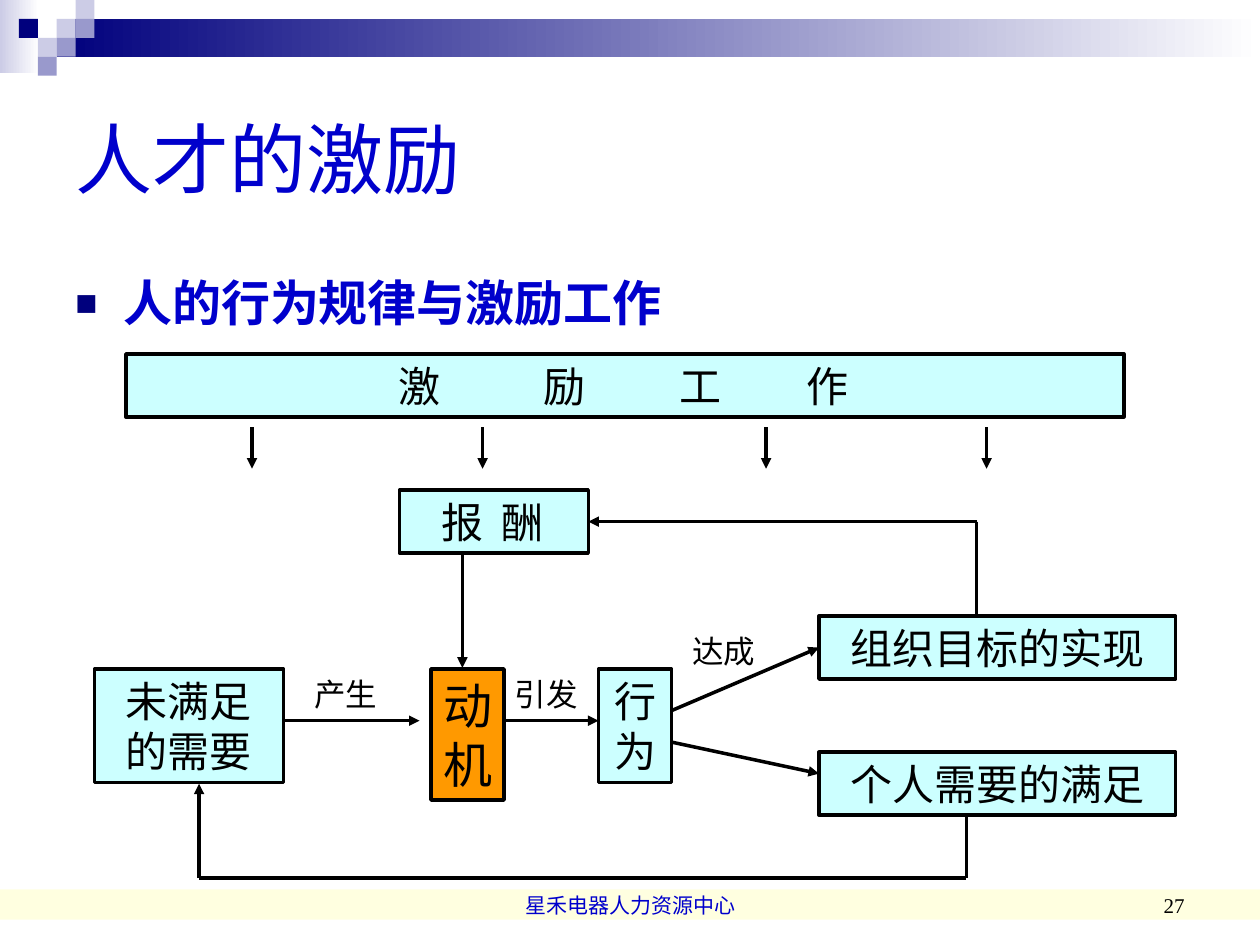
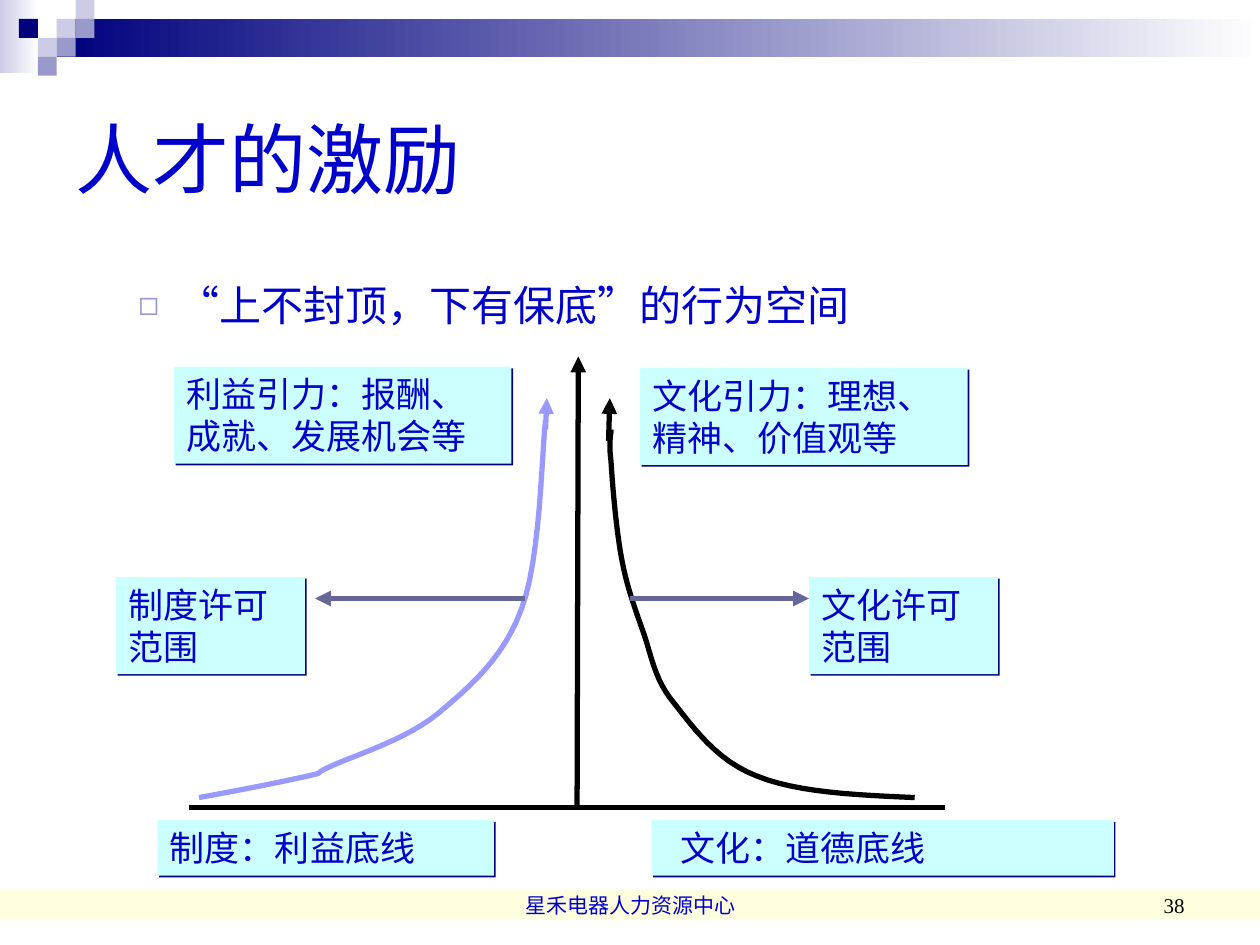
from lxml.etree import SubElement
from pptx import Presentation
from pptx.dml.color import RGBColor
from pptx.enum.shapes import MSO_CONNECTOR, MSO_SHAPE
from pptx.enum.text import MSO_ANCHOR, PP_ALIGN
from pptx.oxml.ns import qn
from pptx.util import Inches, Pt

COLORS = {
    "navy": "00007D", "mid": "9999CC", "pale": "CCCCE6", "white": "FFFFFF",
    "blue": "0000CC", "black": "000000", "cyan": "CCFFFF", "orange": "FF9900",
    "yellow": "FFFF99", "violet": "9999FF", "slate": "666699",
}
CJK = "Noto Sans CJK SC"
TITLE = "人才的激励"
FOOTER = "星禾电器人力资源中心"

TITLE_FONT = {"size": Pt(44), "name": "Arial"}
FOOTER_FONT = {"size": Pt(12), "name": "Times New Roman"}
BOX_FONT = {"size": Pt(24), "name": CJK}
MOTIVE_FONT = {"size": Pt(28), "name": CJK}
LABEL_FONT = {"size": Pt(18), "name": CJK}
NOTE_FONT = {"size": Pt(20), "name": CJK}


def rgb(name):
    return RGBColor.from_string(COLORS[name])


def add_xml(parent, tag, **attrs):
    return SubElement(parent, qn(tag), {k: str(v) for k, v in attrs.items()})


def write(tf, text, font, color="black", align=PP_ALIGN.LEFT, anchor=MSO_ANCHOR.TOP):
    """Fill a text frame with one formatted paragraph and return the paragraph."""
    tf.word_wrap = True
    tf.vertical_anchor = anchor
    p = tf.paragraphs[0]
    p.alignment = align
    r = p.add_run()
    r.text = text
    for key, value in font.items():
        setattr(r.font, key, value)
    r.font.color.rgb = rgb(color)
    add_xml(r.font._element, "a:ea", typeface=CJK)
    return p


def add_text(slide, box, text, font, **style):
    tb = slide.shapes.add_textbox(*map(Inches, box))
    return write(tb.text_frame, text, font, **style)


def add_rect(slide, box, color=None):
    """Add an unlined rectangle; without a colour its fill is left to the caller."""
    sp = slide.shapes.add_shape(MSO_SHAPE.RECTANGLE, *map(Inches, box))
    sp.shadow.inherit = False
    sp.line.fill.background()
    if color:
        sp.fill.solid()
        sp.fill.fore_color.rgb = rgb(color)
    return sp


def add_fade(slide, box, color):
    """Add a rectangle fading from the colour at its left to white."""
    fill = add_rect(slide, box).fill
    fill.gradient()
    fill.gradient_angle = 180
    for stop, name in zip(fill.gradient_stops, ("white", color)):
        stop.color.rgb = rgb(name)


def add_line(slide, start, end, color="black", width=2, arrow=True):
    points = [Inches(v) for v in (*start, *end)]
    line = slide.shapes.add_connector(MSO_CONNECTOR.STRAIGHT, *points)
    line.line.color.rgb = rgb(color)
    line.line.width = Pt(width)
    if arrow:
        add_xml(line.line._get_or_add_ln(), "a:tailEnd", type="triangle")
    add_xml(line._element.spPr, "a:effectLst")
    return line


def add_curve(slide, start, beziers, color, steps=12):
    """Trace cubic Bezier pieces, each given as two controls and an end."""
    points, last = [], start
    for piece in beziers:
        for i in range(1, steps + 1):
            t = i / steps
            weights = ((1 - t) ** 3, 3 * t * (1 - t) ** 2, 3 * t * t * (1 - t), t ** 3)
            points.append(tuple(
                Inches(sum(w * q[axis] for w, q in zip(weights, (last, *piece))))
                for axis in (0, 1)))
        last = piece[-1]
    builder = slide.shapes.build_freeform(*map(Inches, start))
    builder.add_line_segments(points, close=False)
    sp = builder.convert_to_shape()
    sp.shadow.inherit = False
    sp.fill.background()
    sp.line.color.rgb = rgb(color)
    sp.line.width = Pt(3)


def shifter(left, top):
    """Return a function moving a point or box from local to slide coordinates."""
    return lambda x, y, *size: (left + x, top + y, *size)


def draw_header(slide):
    add_fade(slide, (0, 0, 0.31, 0.58), "pale")
    add_fade(slide, (0.45, 0.15, 9.55, 0.3), "navy")
    unit = 0.15
    for col, row, color in ((3, 1, "pale"), (4, 0, "pale"), (4, 1, "mid"), (2, 2, "pale"),
                            (1, 1, "navy"), (3, 2, "mid"), (2, 3, "mid")):
        add_rect(slide, (col * unit, row * unit, unit, unit), color)


def draw_footer(slide, number):
    band = add_rect(slide, (0, 7.06, 10, 0.24), "yellow")
    color = band._element.spPr.find(qn("a:solidFill"))[0]
    add_xml(color, "a:alpha", val=30000)
    add_text(slide, (3.42, 6.83, 3.17, 0.5), FOOTER, FOOTER_FONT, color="blue",
             align=PP_ALIGN.CENTER, anchor=MSO_ANCHOR.BOTTOM)
    add_text(slide, (7.17, 6.83, 2.33, 0.5), str(number), FOOTER_FONT,
             align=PP_ALIGN.RIGHT, anchor=MSO_ANCHOR.BOTTOM)


def new_slide(prs, number):
    slide = prs.slides.add_slide(prs.slide_layouts[5])
    draw_header(slide)
    title = slide.shapes.title
    title.left, title.top, title.width, title.height = map(Inches, (0.5, 0.5, 9, 1.5))
    write(title.text_frame, TITLE, TITLE_FONT, "blue", anchor=MSO_ANCHOR.MIDDLE)
    draw_footer(slide, number)
    return slide


def add_heading(slide, text, font, char, color, percent, margin, hang, spacing=1.0):
    p = add_text(slide, (0.5, 2.17, 9, 0.56), text, font, color="blue")
    p.line_spacing = spacing
    pPr = p._p.get_or_add_pPr()
    pPr.set("marL", str(Inches(margin)))
    pPr.set("indent", str(-Inches(hang)))
    add_xml(add_xml(pPr, "a:buClr"), "a:srgbClr", val=COLORS[color])
    add_xml(pPr, "a:buSzPct", val=percent * 1000)
    add_xml(pPr, "a:buFont", typeface="Arial")
    add_xml(pPr, "a:buChar", char=char)


def add_step(slide, box, text, font=BOX_FONT, color="cyan", tabs=()):
    """Add an outlined box; tabs hold the centres of spaced-out characters."""
    sp = add_rect(slide, box, color)
    sp.line.color.rgb = rgb("black")
    sp.line.width = Pt(2)
    align = PP_ALIGN.LEFT if tabs else PP_ALIGN.CENTER
    p = write(sp.text_frame, text, font, align=align)
    if tabs:
        tab_list = add_xml(p._p.get_or_add_pPr(), "a:tabLst")
        for pos in tabs:
            add_xml(tab_list, "a:tab", pos=Inches(pos), algn="ctr")
    return sp


def draw_motivation_cycle(slide, left, top):
    at = shifter(left, top)
    add_step(slide, at(0.25, 0, 7.92, 0.5), "\t激\t励\t工\t作", tabs=(2.23, 3.38, 4.46, 5.47))
    reward = add_step(slide, at(2.42, 1.08, 1.5, 0.5), "\t报\t酬", tabs=(0.4, 0.88))
    add_step(slide, at(0, 2.5, 1.5, 0.9), "未满足的需要")
    add_step(slide, at(2.67, 2.5, 0.58, 1.04), "动机", MOTIVE_FONT, "orange")
    add_step(slide, at(4, 2.5, 0.58, 0.9), "行为")
    goal = add_step(slide, at(5.75, 2.08, 2.83, 0.5), "组织目标的实现")
    add_step(slide, at(5.75, 3.16, 2.83, 0.5), "个人需要的满足")

    to_goal = add_line(slide, at(4.58, 2.83), at(5.75, 2.33))
    to_goal.end_connect(goal, 1)
    to_reward = add_line(slide, at(7, 1.33), at(3.92, 1.33))
    to_reward.end_connect(reward, 3)
    arrows = [((1.5, 2.91), (2.58, 2.91)), ((3.25, 2.91), (4, 2.91)),
              ((4.58, 3.08), (5.75, 3.33)), ((0.83, 4.16), (0.83, 3.41)),
              ((2.92, 1.58), (2.92, 2.49))]
    arrows += [((x, 0.58), (x, 0.91)) for x in (1.25, 3.08, 5.33, 7.08)]
    for start, end in arrows:
        add_line(slide, at(*start), at(*end))
    for start, end in (((7, 1.33), (7, 2.08)), ((0.83, 4.16), (6.92, 4.16)),
                       ((6.92, 3.66), (6.92, 4.16))):
        add_line(slide, at(*start), at(*end), arrow=False)

    for x, y, text in ((1.58, 2.5, "产生"), (3.17, 2.5, "引发"), (4.58, 2.16, "达成")):
        add_text(slide, at(x, y, 0.83, 0.4), text, LABEL_FONT, align=PP_ALIGN.CENTER)


def add_note(slide, box, text, inset=0.1):
    """Add a cyan box with a thin hard shadow at its lower right."""
    sp = add_rect(slide, box, "cyan")
    effects = sp._element.spPr.find(qn("a:effectLst"))
    shadow = add_xml(effects, "a:outerShdw", blurRad=0, dist=Pt(1.4), dir=45 * 60000,
                     algn="ctr", rotWithShape=0)
    add_xml(shadow, "a:srgbClr", val=COLORS["navy"])
    sp.text_frame.margin_left = Inches(inset)
    write(sp.text_frame, text, NOTE_FONT, "blue")


def draw_behaviour_space(slide, left, top):
    at = shifter(left, top)
    add_line(slide, at(0.58, 3.58), at(6.58, 3.58), width=3, arrow=False)
    add_line(slide, at(3.66, 3.58), at(3.67, 0), width=3)
    add_note(slide, at(0.33, 3.68, 2.67, 0.44), "制度：利益底线")
    add_note(slide, at(4.25, 3.68, 3.67, 0.44), "文化：道德底线", inset=0.23)
    add_note(slide, at(4.16, 0.09, 2.6, 0.77), "文化引力：理想、精神、价值观等")
    add_note(slide, at(0.46, 0.08, 2.68, 0.77), "利益引力：报酬、成就、发展机会等")

    system = [((1, 3.44), (1.34, 3.37), (1.52, 3.33)),
              ((1.69, 3.29), (1.53, 3.33), (1.71, 3.25)),
              ((1.88, 3.17), (2.31, 3.04), (2.56, 2.83)),
              ((2.81, 2.62), (3.08, 2.39), (3.22, 2)),
              ((3.37, 1.61), (3.38, 0.75), (3.41, 0.5))]
    culture = [((5.88, 3.48), (5.41, 3.46), (5.09, 3.33)),
               ((4.77, 3.21), (4.58, 2.94), (4.43, 2.75)),
               ((4.27, 2.56), (4.25, 2.36), (4.18, 2.17)),
               ((4.11, 1.97), (4.05, 1.81), (4.01, 1.58)),
               ((3.97, 1.36), (3.94, 1), (3.93, 0.83)),
               ((3.91, 0.67), (3.93, 0.63), (3.93, 0.58))]
    for start, pieces, color in (((0.66, 3.5), system, "violet"),
                                 ((6.34, 3.5), culture, "black")):
        placed = [[at(*q) for q in piece] for piece in pieces]
        add_curve(slide, at(*start), placed, color)

    add_note(slide, at(0, 1.75, 1.5, 0.77), "制度许可范围")
    add_note(slide, at(5.5, 1.75, 1.5, 0.77), "文化许可范围")
    for start, end, color in (((3.41, 0.58), (3.42, 0.33), "violet"),
                              ((3.91, 0.67), (3.92, 0.33), "black"),
                              ((3.25, 1.92), (1.58, 1.92), "slate"),
                              ((4.08, 1.92), (5.5, 1.92), "slate")):
        add_line(slide, at(*start), at(*end), color, 3)


def main():
    prs = Presentation()
    prs.slide_width, prs.slide_height = Inches(10), Inches(7.5)

    slide = new_slide(prs, 27)
    add_heading(slide, "人的行为规律与激励工作", {"size": Pt(28), "name": "Arial", "bold": True},
                "■", "navy", 75, 0.38, 0.38, 0.9)
    draw_motivation_cycle(slide, 0.75, 2.81)

    slide = new_slide(prs, 38)
    add_heading(slide, "“上不封顶，下有保底”的行为空间", {"size": Pt(24), "name": "Arial"},
                "◻", "mid", 80, 0.81, 0.31)
    draw_behaviour_space(slide, 0.92, 2.83)

    prs.save("out.pptx")


if __name__ == "__main__":
    main()
